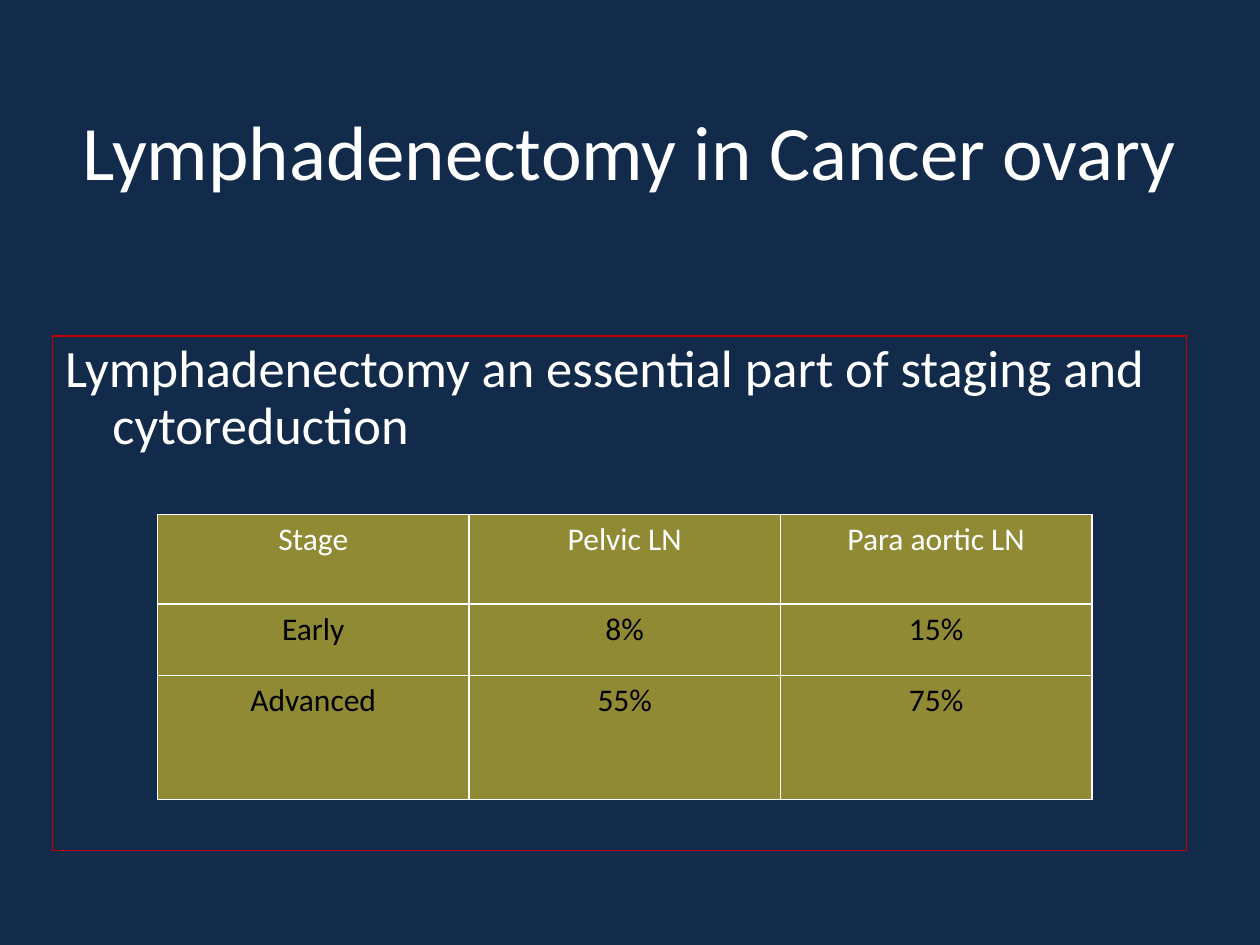
from dataclasses import dataclass

from lxml.etree import SubElement
from pptx import Presentation
from pptx.dml.color import RGBColor as Color
from pptx.enum.text import MSO_ANCHOR as Anchor, MSO_AUTO_SIZE as AutoSize, PP_ALIGN as Align
from pptx.oxml.ns import qn
from pptx.util import Pt

TITLE = "Lymphadenectomy in Cancer ovary"
STATEMENT = "Lymphadenectomy an essential part of staging and cytoreduction"
NODE_RATES = [
    ("Stage", "Pelvic LN", "Para aortic LN"),
    ("Early", "8%", "15%"),
    ("Advanced", "55%", "75%"),
]
ROW_HEIGHTS = [51, 41, 71]

SLIDE_SIZE = (720, 540)
TITLE_BOX = (36, 21.6, 648, 128)
BODY_BOX = (30, 192, 648, 294)
TABLE_LEFT, TABLE_TOP, COLUMN_WIDTH = 90, 294, 178
HANGING_INDENT = 27


@dataclass(frozen=True)
class Theme:
    font: str = "Calibri"
    background: str = "122B4A"
    light: str = "FFFFFF"
    dark: str = "000000"
    cell: str = "918A35"
    frame: str = "C00000"
    title_size: int = 44
    body_size: int = 30
    table_size: int = 18


THEME = Theme()


def place(shape, box):
    shape.left, shape.top, shape.width, shape.height = map(Pt, box)


def style(paragraph, size, color, align):
    paragraph.alignment = align
    font = paragraph.font
    font.name, font.size, font.bold = THEME.font, Pt(size), False
    font.color.rgb = Color.from_string(color)


def add_title(slide):
    title = slide.shapes.title
    place(title, TITLE_BOX)
    frame = title.text_frame
    frame.text = TITLE
    frame.auto_size = AutoSize.NONE
    frame.vertical_anchor = Anchor.MIDDLE
    style(frame.paragraphs[0], THEME.title_size, THEME.light, Align.CENTER)


def add_statement(slide):
    body = slide.placeholders[1]
    place(body, BODY_BOX)
    body.line.color.rgb = Color.from_string(THEME.frame)
    body.line.width = Pt(0.75)
    frame = body.text_frame
    frame.text = STATEMENT
    frame.auto_size = AutoSize.NONE
    frame.vertical_anchor = Anchor.TOP
    paragraph = frame.paragraphs[0]
    paragraph.line_spacing = 0.9
    paragraph.space_before = Pt(0)
    properties = paragraph._p.get_or_add_pPr()
    properties.set("marL", str(Pt(HANGING_INDENT)))
    properties.set("indent", str(-Pt(HANGING_INDENT)))
    SubElement(properties, qn("a:buNone"))
    style(paragraph, THEME.body_size, THEME.light, Align.LEFT)


def add_borders(cell):
    properties = cell._tc.get_or_add_tcPr()
    for index, side in enumerate(("a:lnL", "a:lnR", "a:lnT", "a:lnB")):
        line = properties.makeelement(qn(side), {"w": str(Pt(1))})
        fill = SubElement(line, qn("a:solidFill"))
        SubElement(fill, qn("a:srgbClr"), val=THEME.light)
        properties.insert(index, line)


def add_node_table(slide):
    columns = len(NODE_RATES[0])
    box = (TABLE_LEFT, TABLE_TOP, COLUMN_WIDTH * columns, sum(ROW_HEIGHTS))
    table = slide.shapes.add_table(len(NODE_RATES), columns, *map(Pt, box)).table
    table.first_row = table.horz_banding = False
    for column in table.columns:
        column.width = Pt(COLUMN_WIDTH)
    for row_index, (values, height) in enumerate(zip(NODE_RATES, ROW_HEIGHTS)):
        table.rows[row_index].height = Pt(height)
        color = THEME.dark if row_index else THEME.light
        for column_index, value in enumerate(values):
            cell = table.cell(row_index, column_index)
            cell.text = value
            cell.fill.solid()
            cell.fill.fore_color.rgb = Color.from_string(THEME.cell)
            add_borders(cell)
            style(cell.text_frame.paragraphs[0], THEME.table_size, color, Align.CENTER)


def main():
    presentation = Presentation()
    presentation.slide_width, presentation.slide_height = map(Pt, SLIDE_SIZE)
    slide = presentation.slides.add_slide(presentation.slide_layouts[1])
    slide.background.fill.solid()
    slide.background.fill.fore_color.rgb = Color.from_string(THEME.background)
    add_title(slide)
    add_statement(slide)
    add_node_table(slide)
    presentation.save("out.pptx")


if __name__ == "__main__":
    main()
